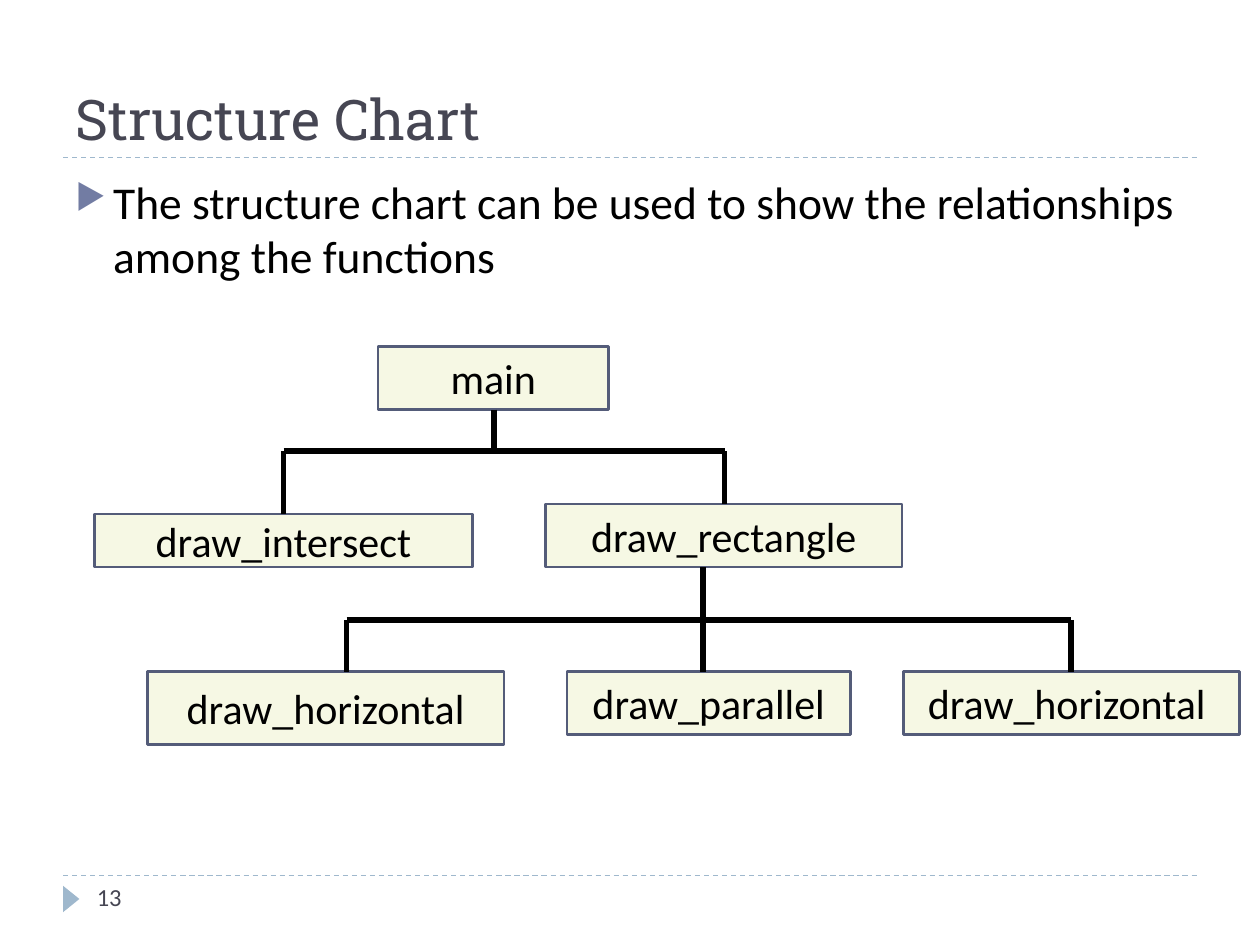
from lxml.etree import SubElement
from pptx import Presentation
from pptx.dml.color import RGBColor
from pptx.enum.dml import MSO_LINE
from pptx.enum.shapes import MSO_CONNECTOR, MSO_SHAPE
from pptx.enum.text import MSO_ANCHOR, PP_ALIGN
from pptx.oxml.ns import qn
from pptx.util import Inches, Pt

TITLE = "Structure Chart"
POINT = ("The structure chart can be used to show the relationships "
         "among the functions")
PAGE = "13"
INK, SLATE, PALE = "000000", "464653", "9FB8CD"
BULLET, CREAM, EDGE = "727CA3", "F6F8E4", "545C79"

# label, left, top, width, height
BOXES = [
    ("main", 3, 2.75, 1.83, 0.5),
    ("draw_intersect", 0.75, 4.08, 3, 0.42),
    ("draw_rectangle", 4.33, 4, 2.83, 0.5),
    ("draw_horizontal", 1.17, 5.33, 2.83, 0.58),
    ("draw_horizontal ", 7.17, 5.33, 2.67, 0.5),
    ("draw_parallel", 4.5, 5.33, 2.25, 0.5),
]
# parent x, parent bottom, bar y, then (x, top) of each child
TREES = [
    (3.92, 3.25, 3.58, [(2.25, 4.08), (5.75, 4)]),
    (5.58, 4.5, 4.92, [(2.75, 5.33), (5.58, 5.33), (8.5, 5.33)]),
]
RULES = [1.25, 6.95]


def color(code):
    return RGBColor.from_string(code)


def write(shape, text, size, ink=INK, face="Calibri", **form):
    """Put one paragraph in a shape; form holds text frame values."""
    frame = shape.text_frame
    for key, val in {"word_wrap": True, **form}.items():
        setattr(frame, key, val)
    para = frame.paragraphs[0]
    run = para.add_run()
    run.text = text
    for key, val in {"size": Pt(size), "name": face}.items():
        setattr(run.font, key, val)
    run.font.color.rgb = color(ink)
    return para


def label(slide, at, *args, **form):
    box = slide.shapes.add_textbox(*map(Inches, at))
    return write(box, *args, **form)


def shape(slide, kind, at, fill, edge=None):
    item = slide.shapes.add_shape(kind, *map(Inches, at))
    item.shadow.inherit = False
    item.fill.solid()
    item.fill.fore_color.rgb = color(fill)
    if edge:
        item.line.color.rgb = color(edge)
        item.line.width = Pt(1.5)
    else:
        item.line.fill.background()
    return item


def line(slide, ends, ink=INK, width=3, dash=None):
    item = slide.shapes.add_connector(
        MSO_CONNECTOR.STRAIGHT, *map(Inches, ends))
    SubElement(item._element.spPr, qn("a:effectLst"))
    item.line.color.rgb = color(ink)
    item.line.width = Pt(width)
    if dash:
        item.line.dash_style = dash


def bullet(para):
    props = para._p.get_or_add_pPr()
    props.set("marL", str(Inches(0.3)))
    props.set("indent", str(-Inches(0.3)))
    tint = SubElement(props, qn("a:buClr"))
    SubElement(tint, qn("a:srgbClr"), val=BULLET)
    SubElement(props, qn("a:buSzPct"), val="76000")
    SubElement(props, qn("a:buChar"), char="▶")


def tree(slide, x, low, bar, kids):
    line(slide, (x, low, x, bar))
    line(slide, (kids[0][0], bar, kids[-1][0], bar))
    for left, top in kids:
        line(slide, (left, bar, left, top))


def main():
    deck = Presentation()
    deck.slide_width, deck.slide_height = Inches(10), Inches(7.5)
    slide = deck.slides.add_slide(deck.slide_layouts[6])

    for y in RULES:
        line(slide, (0.5, y, 9.5, y), PALE, 0.75, MSO_LINE.DASH)
    mark = shape(slide, MSO_SHAPE.ISOSCELES_TRIANGLE,
                 (0.46, 7.07, 0.21, 0.13), PALE)
    mark.rotation = 90

    label(slide, (0.5, 0.17, 9, 1.08), TITLE, 32, SLATE, "Roboto Slab",
          vertical_anchor=MSO_ANCHOR.BOTTOM)
    bullet(label(slide, (0.5, 1.33, 9, 5.4), POINT, 26))

    for text, *at in BOXES:
        box = shape(slide, MSO_SHAPE.RECTANGLE, at, CREAM, EDGE)
        para = write(box, text, 24, vertical_anchor=MSO_ANCHOR.MIDDLE)
        para.alignment = PP_ALIGN.CENTER
    for part in TREES:
        tree(slide, *part)

    label(slide, (0.67, 6.95, 2.17, 0.4), PAGE, 14, SLATE)
    deck.save("out.pptx")


if __name__ == "__main__":
    main()
